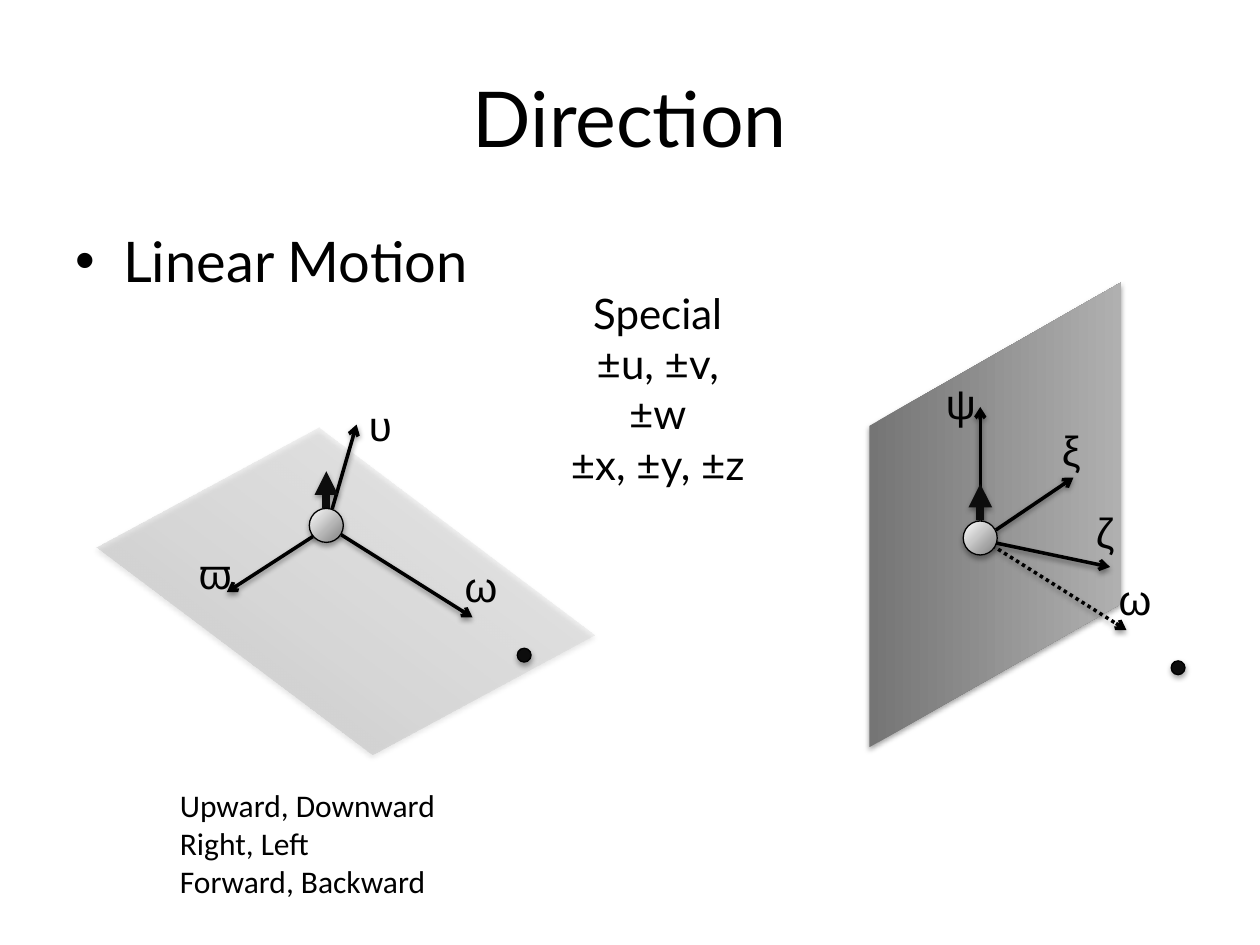
from pptx import Presentation
from pptx.dml.color import RGBColor
from pptx.enum.dml import MSO_LINE
from pptx.enum.shapes import MSO_CONNECTOR, MSO_SHAPE
from pptx.enum.text import MSO_ANCHOR, MSO_AUTO_SIZE, PP_ALIGN
from pptx.oxml import parse_xml
from pptx.oxml.ns import nsdecls, qn
from pptx.util import Inches, Pt

COLORS = {"ink": "000000", "dark": "0D0D0D", "gray": "808080", "pale": "F2F2F2",
          "white": "FFFFFF", "wall_dark": "757575", "wall_light": "B0B0B0"}
COLUMNS, ROWS = 10, 7.5
LINEAR = '<a:lin ang="{}" scaled="0"/>'
RADIAL = '<a:path path="circle"><a:fillToRect l="100000" t="100000"/></a:path>'


class Board:
    def __init__(self, presentation):
        self.cell = presentation.slide_width / COLUMNS
        self.slide = presentation.slides.add_slide(presentation.slide_layouts[5])
        self.shapes = self.slide.shapes

    def grid(self, *values):
        return [round(value * self.cell) for value in values]

    def color(self, name):
        return RGBColor.from_string(COLORS[name])

    def fill_text(self, shape, lines, size, font="Lato", align=PP_ALIGN.LEFT, **frame_format):
        frame = shape.text_frame
        frame.text = "\n".join(lines)
        for name, value in frame_format.items():
            setattr(frame, name, value)
        for paragraph in frame.paragraphs:
            paragraph.alignment = align
            for name, value in {"size": Pt(size), "name": font}.items():
                setattr(paragraph.font, name, value)
            paragraph.font.color.rgb = self.color("ink")
        return frame

    def title(self, text, box):
        shape = self.shapes.title
        for name, value in zip(("left", "top", "width", "height"), self.grid(*box)):
            setattr(shape, name, value)
        self.fill_text(shape, [text], 44, align=PP_ALIGN.CENTER,
                       vertical_anchor=MSO_ANCHOR.MIDDLE)

    def text(self, lines, box, size, font="Lato", align=PP_ALIGN.LEFT, wrap=False):
        shape = self.shapes.add_textbox(*self.grid(*box))
        return self.fill_text(shape, lines, size, font, align, word_wrap=wrap,
                              auto_size=MSO_AUTO_SIZE.NONE)

    def bullet(self, text, box, indent):
        frame = self.text([text], box, 32, wrap=True)
        properties = frame.paragraphs[0]._p.get_or_add_pPr()
        width = self.grid(indent)[0]
        properties.set("marL", str(width))
        properties.set("indent", str(-width))
        defaults = properties.find(qn("a:defRPr"))
        for mark in ('buFont {} typeface="Arial"', 'buChar {} char="\u2022"'):
            element = parse_xml(f'<a:{mark.format(nsdecls("a"))}/>')
            if defaults is None:
                properties.append(element)
            else:
                defaults.addprevious(element)

    def shadow(self, properties, alpha, distance):
        for old in properties.findall(qn("a:effectLst")):
            properties.remove(old)
        properties.append(parse_xml(
            f'<a:effectLst {nsdecls("a")}><a:outerShdw blurRad="{Pt(3.1)}" '
            f'dist="{Pt(distance)}" dir="5400000" rotWithShape="0">'
            f'<a:srgbClr val="{COLORS["ink"]}"><a:alpha val="{alpha * 1000}"/></a:srgbClr>'
            f'</a:outerShdw></a:effectLst>'))

    def gradient(self, shape, stops, direction):
        shape.fill.gradient()
        old = shape._element.spPr.find(qn("a:gradFill"))
        marks = "".join(
            f'<a:gs pos="{place * 1000}"><a:srgbClr val="{COLORS[name]}">'
            f'<a:alpha val="{alpha * 1000}"/></a:srgbClr></a:gs>'
            for place, name, alpha in stops)
        old.getparent().replace(old, parse_xml(
            f'<a:gradFill {nsdecls("a")} rotWithShape="1"><a:gsLst>{marks}</a:gsLst>'
            f'{direction}</a:gradFill>'))

    def finish(self, shape, fill, outlined):
        shape.shadow.inherit = False
        if isinstance(fill, str):
            shape.fill.solid()
            shape.fill.fore_color.rgb = self.color(fill)
        else:
            self.gradient(shape, *fill)
        if outlined:
            shape.line.color.rgb = self.color("ink")
            shape.line.width = Pt(0.75)
        else:
            shape.line.fill.background()
        self.shadow(shape._element.spPr, 35, 1.8)
        return shape

    def preset(self, kind, box, fill, outlined=False):
        return self.finish(self.shapes.add_shape(kind, *self.grid(*box)), fill, outlined)

    def circle(self, x, y, size, fill):
        self.preset(MSO_SHAPE.OVAL, (x - size / 2, y - size / 2, size, size), fill, True)

    def outline(self, points, fill):
        first, *others = [self.grid(*point) for point in points]
        builder = self.shapes.build_freeform(*first)
        builder.add_line_segments(others, close=True)
        self.finish(builder.convert_to_shape(), fill, False)

    def arrow(self, start, end, color="ink", width=2, head="arrow", dash=None):
        connector = self.shapes.add_connector(
            MSO_CONNECTOR.STRAIGHT, *self.grid(*start, *end))
        connector.line.color.rgb = self.color(color)
        connector.line.width = Pt(width)
        if dash:
            connector.line.dash_style = dash
        properties = connector._element.spPr
        properties.find(qn("a:ln")).append(
            parse_xml(f'<a:tailEnd {nsdecls("a")} type="{head}"/>'))
        self.shadow(properties, 38, 1.6)

    def axes(self, center, axes):
        x, y = center
        self.circle(x + 1.57, y + 1.03, 0.11, "dark")
        for letter, start, end, label, dash in axes:
            self.arrow((x + start[0], y + start[1]), (x + end[0], y + end[1]), dash=dash)
            self.text([letter], (x + label[0], y + label[1], 0.4, 0.5), 24, "Arial")
        self.arrow((x, y - 0.14), (x, y - 0.43), "dark", 4.5, "triangle")
        self.circle(x, y, 0.27, ([(0, "gray", 100), (100, "white", 100)], RADIAL))


presentation = Presentation()
presentation.slide_width = Inches(COLUMNS)
presentation.slide_height = Inches(ROWS)
board = Board(presentation)

board.title("Direction", (0.5, 0.3, 9, 1.25))
board.bullet("Linear Motion", (0.5, 1.75, 9, 4.95), 0.38)

floor = board.preset(MSO_SHAPE.PARALLELOGRAM, (0.95, 3.78, 3.58, 1.82),
                     ([(0, "gray", 30), (100, "pale", 27)], LINEAR.format(16200000)))
floor.adjustments[0] = 0.463
floor.rotation = 36.9
omega_end, omega_label = (1.16, 0.73), (1.0, 0.23)
board.axes((2.59, 4.17), [
    ("\u03c5", (0, 0.03), (0.24, -0.8), (0.24, -1.05), None),
    ("\u03d6", (0.03, 0), (-0.79, 0.53), (-1.11, 0.13), None),
    ("\u03c9", (0, 0), omega_end, omega_label, None)])

board.text(["Special", "\u00b1u, \u00b1v, \u00b1w", "\u00b1x, \u00b1y, \u00b1z"],
           (4.42, 2.23, 1.6, 1.31), 24, align=PP_ALIGN.CENTER, wrap=True)
board.text(["Upward, Downward", "Right, Left", "Forward, Backward"],
           (1.33, 6.19, 2.26, 1.01), 18, "Calibri")

board.outline([(6.9, 3.38), (8.9, 2.24), (8.9, 4.79), (6.9, 5.93)],
              ([(0, "wall_dark", 100), (100, "wall_light", 100)], LINEAR.format(0)))
board.axes((7.78, 4.27), [
    ("\u03be", (0.03, 0), (0.74, -0.48), (0.55, -0.95), None),
    ("\u03c9", (0, 0), omega_end, omega_label, MSO_LINE.ROUND_DOT),
    ("\u03c8", (0, 0), (0, -1.04), (-0.37, -1.32), None),
    ("\u03b6", (0.03, 0.02), (1.03, 0.23), (0.82, -0.3), None)])

presentation.save("out.pptx")
